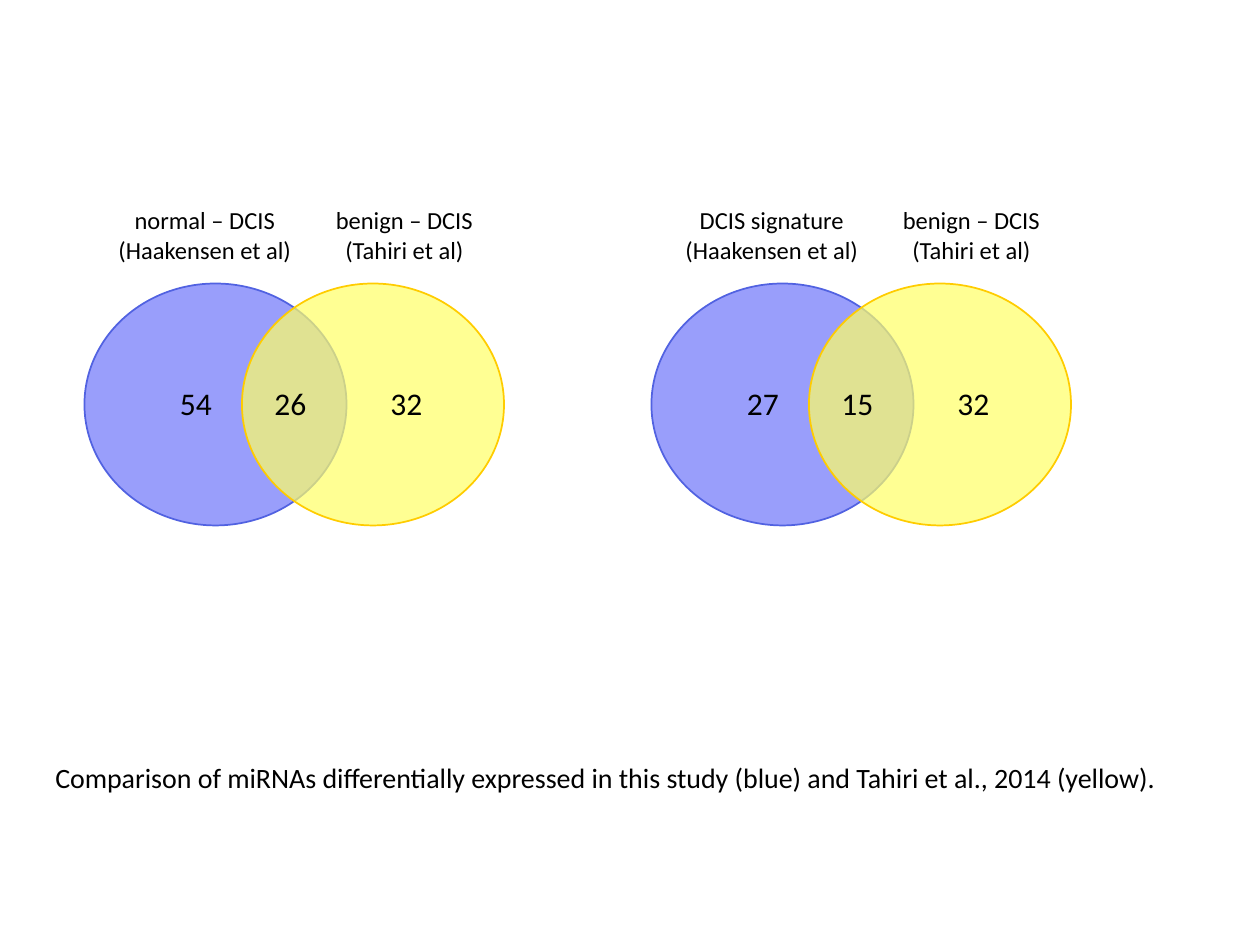
from dataclasses import dataclass

from lxml import etree
from pptx import Presentation
from pptx.dml.color import RGBColor
from pptx.enum.shapes import MSO_SHAPE
from pptx.enum.text import MSO_AUTO_SIZE, PP_ALIGN
from pptx.oxml.ns import qn
from pptx.util import Inches, Pt

OVAL = MSO_SHAPE.OVAL
LEFT, CENTER = PP_ALIGN.LEFT, PP_ALIGN.CENTER
FIT = MSO_AUTO_SIZE.SHAPE_TO_FIT_TEXT
BLANK = 6


@dataclass(frozen=True)
class Theme:
    """Colours, font and type sizes of the slide."""
    font: str = "Calibri"
    ink: str = "000000"
    blue: tuple = ("8F94FB", "5162E1", 90)  # fill, line, opacity
    yellow: tuple = ("FFFF66", "FFCC00", 70)
    label: int = 14
    note: int = 16
    count: int = 18


THEME = Theme()


def add_text(shapes, text, box, size, align=LEFT, wrap=False):
    """Add a text box at box (left, top, width, height)."""
    frame = shapes.add_textbox(*map(Inches, box)).text_frame
    frame.word_wrap = wrap
    frame.auto_size = FIT
    frame.text = text
    for para in frame.paragraphs:
        para.alignment = align
        para.font.name = THEME.font
        para.font.size = Pt(size)
        para.font.color.rgb = RGBColor.from_string(THEME.ink)


def add_oval(shapes, box, style):
    """Add a see-through oval with a thin outline."""
    fill, line, alpha = style
    oval = shapes.add_shape(OVAL, *map(Inches, box))
    oval.shadow.inherit = False
    oval.fill.solid()
    oval.fill.fore_color.rgb = RGBColor.from_string(fill)
    color = oval.fill._xPr.find(qn("a:solidFill"))[0]
    etree.SubElement(color, qn("a:alpha"), val=str(alpha * 1000))
    oval.line.color.rgb = RGBColor.from_string(line)
    oval.line.width = Pt(1)


def add_venn(slide, left, top, names, counts):
    """Draw two crossing sets with labels above and counts inside."""
    shapes = slide.shapes.add_group_shape().shapes
    for x, style in zip((0, 1.25), (THEME.blue, THEME.yellow)):
        add_oval(shapes, (left + x, top + 0.67, 2.08, 1.92), style)
    for x, count in zip((0.66, 1.41, 2.33), counts):
        box = (left + x, top + 1.42, 0.46, 0.4)
        add_text(shapes, str(count), box, THEME.count)
    for x, width, name in zip((0.16, 1.89), (1.59, 1.3), names):
        box = (left + x, top, width, 0.57)
        add_text(shapes, name, box, THEME.label, CENTER)


def add_note(slide, box):
    """Add the caption below the diagrams."""
    text = ("Comparison of miRNAs differentially expressed in this study "
            "(blue) and Tahiri et al., 2014 (yellow).")
    add_text(slide.shapes, text, box, THEME.note, wrap=True)


def main():
    """Build and save the slide."""
    deck = Presentation()
    deck.slide_width, deck.slide_height = Inches(10), Inches(7.5)
    slide = deck.slides.add_slide(deck.slide_layouts[BLANK])
    add_note(slide, (0.34, 5.99, 9.25, 0.67))
    venns = (("normal – DCIS", (54, 26, 32)),
             ("DCIS signature", (27, 15, 32)))
    for i, (name, counts) in enumerate(venns):
        names = (f"{name}\v(Haakensen et al)", "benign – DCIS\v(Tahiri et al)")
        add_venn(slide, 0.67 + 4.5 * i, 1.58, names, counts)
    deck.save("out.pptx")


main()
